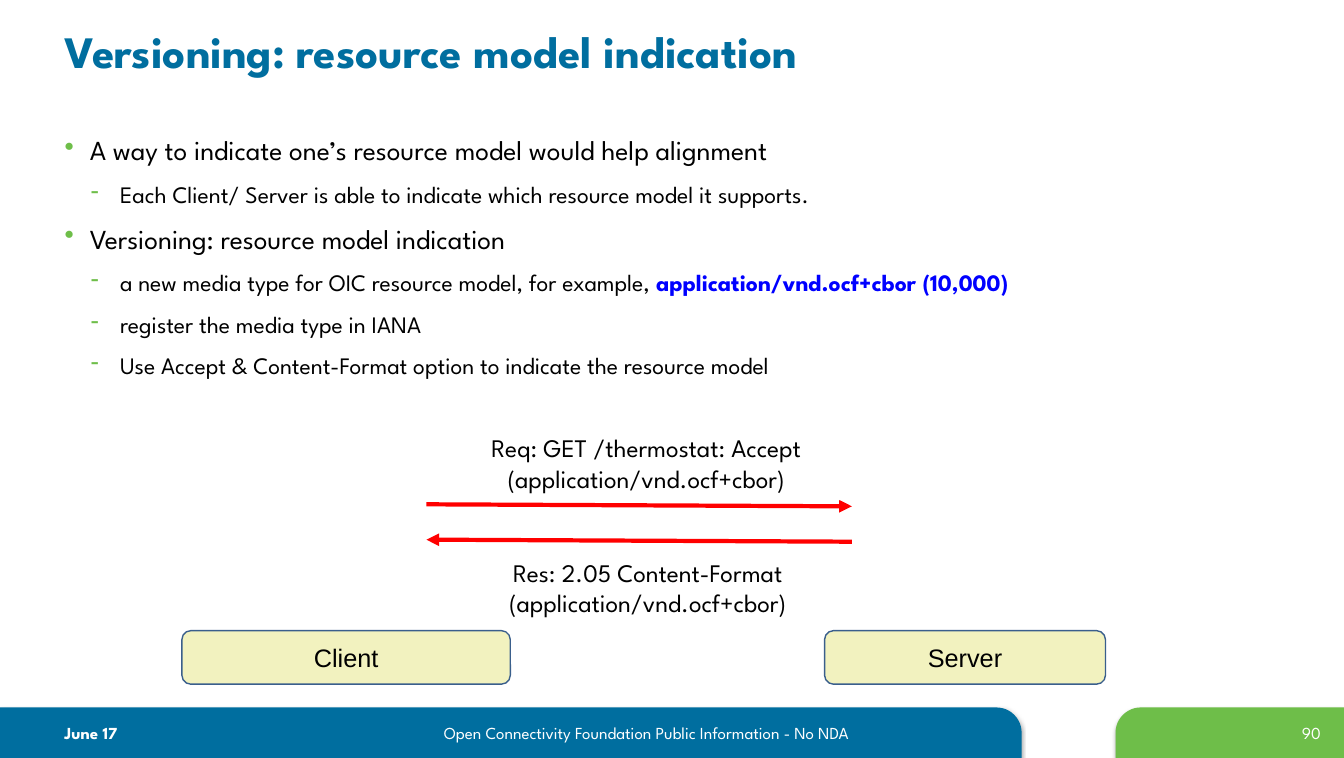
from dataclasses import dataclass

from lxml.etree import SubElement
from pptx import Presentation
from pptx.dml.color import RGBColor as RGB
from pptx.enum.shapes import MSO_CONNECTOR as LINK, MSO_SHAPE as SHAPE
from pptx.enum.text import MSO_ANCHOR as ANCHOR, PP_ALIGN as ALIGN
from pptx.oxml.ns import qn
from pptx.util import Inches, Pt


@dataclass(frozen=True)
class Theme:
    face: str = "League Spartan"
    plain: str = "Arial"
    blue: str = "006E9F"
    green: str = "6EBE49"
    white: str = "FFFFFF"
    black: str = "000000"
    link: str = "0000FF"
    red: str = "FF0000"
    sand: str = "CCCC00"
    edge: str = "3A5F8C"
    title: float = 32
    main: float = 19.6
    sub: float = 16.8
    label: float = 18
    small: float = 12


T = Theme()
COLS, ROWS = 133, 75
CELL = Inches(0.1)
LEFT = 5.4
WIDE = (0.13, 0.07)
MEDIA = "application/vnd.ocf+cbor"

POINTS = [
    (0, "A way to indicate one’s resource model would help alignment", ""),
    (1, "Each Client/ Server is able to indicate which resource model it supports.", ""),
    (0, "Versioning: resource model indication", ""),
    (1, "a new media type for OIC resource model, for example, ", MEDIA + " (10,000)"),
    (1, "register the media type in IANA", ""),
    (1, "Use Accept & Content-Format option to indicate the resource model", ""),
]
# mark, indent, hang (inches) and size for each level
LEVELS = [("•", 0.25, 0.25, T.main), ("-", 0.55, 0.29, T.sub)]


def grid(*cells):
    return [round(c * CELL) for c in cells]


def write(par, text, size=T.label, color=T.black, bold=False, face=T.face, align=None):
    run = par.add_run()
    run.text = text
    font = run.font
    font.name, font.size, font.bold = face, Pt(size), bold
    font.color.rgb = RGB.from_string(color)
    if align is not None:
        par.alignment = align


def pad(frame, side, top):
    frame.margin_left = frame.margin_right = Inches(side)
    frame.margin_top = frame.margin_bottom = Inches(top)


def add_text(slide, area, inset=(0.1, 0.05)):
    """Add a wrapping text box and return its frame."""
    frame = slide.shapes.add_textbox(*grid(*area)).text_frame
    frame.word_wrap = True
    pad(frame, *inset)
    return frame


def add_shape(slide, kind, area, color):
    shape = slide.shapes.add_shape(kind, *grid(*area))
    shape.shadow.inherit = False
    shape.fill.solid()
    shape.fill.fore_color.rgb = RGB.from_string(color)
    return shape


def add_bar(slide, area, color, flip=False):
    """Add a footer bar with one round corner and a soft shadow."""
    bar = add_shape(slide, SHAPE.ROUND_1_RECTANGLE, area, color)
    bar.adjustments[0] = 0.5
    bar.line.fill.background()
    props = bar._element.spPr
    if flip:
        props.xfrm.set("flipH", "1")
    shade = SubElement(props.find(qn("a:effectLst")), qn("a:outerShdw"),
                       blurRad=str(Pt(3.1)), dist=str(Pt(1.8)),
                       dir="5400000", rotWithShape="0")
    tone = SubElement(shade, qn("a:srgbClr"), val=T.black)
    SubElement(tone, qn("a:alpha"), val="35000")


def add_node(slide, area, name):
    node = add_shape(slide, SHAPE.ROUNDED_RECTANGLE, area, T.sand)
    tone = node._element.spPr.find(qn("a:solidFill"))[0]
    SubElement(tone, qn("a:alpha"), val="25000")
    node.line.color.rgb = RGB.from_string(T.edge)
    node.line.width = Pt(1)
    frame = node.text_frame
    frame.vertical_anchor = ANCHOR.MIDDLE
    pad(frame, *WIDE)
    write(frame.paragraphs[0], name, face=T.plain, align=ALIGN.CENTER)


def add_arrow(slide, top, end):
    """Draw a message line with its tip at headEnd or tailEnd."""
    line = slide.shapes.add_connector(LINK.STRAIGHT, *grid(42.2, top, 84.3, top + 0.2))
    line.line.color.rgb = RGB.from_string(T.red)
    line.line.width = Pt(3)
    SubElement(line.line._get_or_add_ln(), qn("a:" + end), type="triangle")
    SubElement(line._element.spPr, qn("a:effectLst"))


def add_points(slide, area):
    frame = add_text(slide, area)
    for i, (level, text, strong) in enumerate(POINTS):
        par = frame.add_paragraph() if i else frame.paragraphs[0]
        mark, indent, hang, size = LEVELS[level]
        par.level = level
        par.space_before = Pt(round(size * 0.2, 1) if i else 0)
        par.space_after = Pt(6)
        props = par._p.get_or_add_pPr()
        props.set("marL", str(Inches(indent)))
        props.set("indent", str(-Inches(hang)))
        SubElement(SubElement(props, qn("a:buClr")), qn("a:srgbClr"), val=T.green)
        SubElement(props, qn("a:buChar"), char=mark)
        write(par, text, size)
        if strong:
            write(par, strong, size, T.link, bold=True)


def set_title(slide, area, text):
    title = slide.shapes.title
    title.left, title.top, title.width, title.height = grid(*area)
    frame = title.text_frame
    frame.vertical_anchor = ANCHOR.MIDDLE
    frame.word_wrap = True
    pad(frame, 0.1, 0.05)
    write(frame.paragraphs[0], text, T.title, T.blue, bold=True, align=ALIGN.LEFT)


def add_footer(slide):
    add_bar(slide, (0, 70, 101.1, 5), T.blue)
    add_bar(slide, (110.4, 70, 22.6, 5), T.green, flip=True)
    notes = [
        (LEFT, 25.4, "June 17", ALIGN.LEFT, True),
        (32.7, 62.6, "Open Connectivity Foundation Public Information - No NDA",
         ALIGN.CENTER, False),
        (118.3, 13.4, "90", ALIGN.RIGHT, False),
    ]
    for left, width, text, align, bold in notes:
        frame = add_text(slide, (left, 71, width, 2.9))
        write(frame.paragraphs[0], text, T.small, T.white, bold, align=align)


def add_flow(slide):
    for left, width, name in [(18, 32.5, "Client"), (81.6, 27.8, "Server")]:
        add_node(slide, (left, 62.4, width, 5.3), name)
    flow = [
        (49.9, "tailEnd", (41, 42.1, 45.9, 7.4), "Req: GET /thermostat: Accept"),
        (53.4, "headEnd", (42.2, 54.4, 43.8, 7.4), "Res: 2.05 Content-Format"),
    ]
    for top, end, area, text in flow:
        add_arrow(slide, top, end)
        par = add_text(slide, area, WIDE).paragraphs[0]
        write(par, f"{text} ({MEDIA})", align=ALIGN.CENTER)


def main():
    deck = Presentation()
    deck.slide_width, deck.slide_height = grid(COLS, ROWS)
    slide = deck.slides.add_slide(deck.slide_layouts.get_by_name("Title Only"))
    add_footer(slide)
    set_title(slide, (LEFT, 1, 112.6, 7.9), "Versioning: resource model indication")
    add_points(slide, (LEFT, 12.7, 122.5, 24.9))
    add_flow(slide)
    deck.save("out.pptx")


if __name__ == "__main__":
    main()
